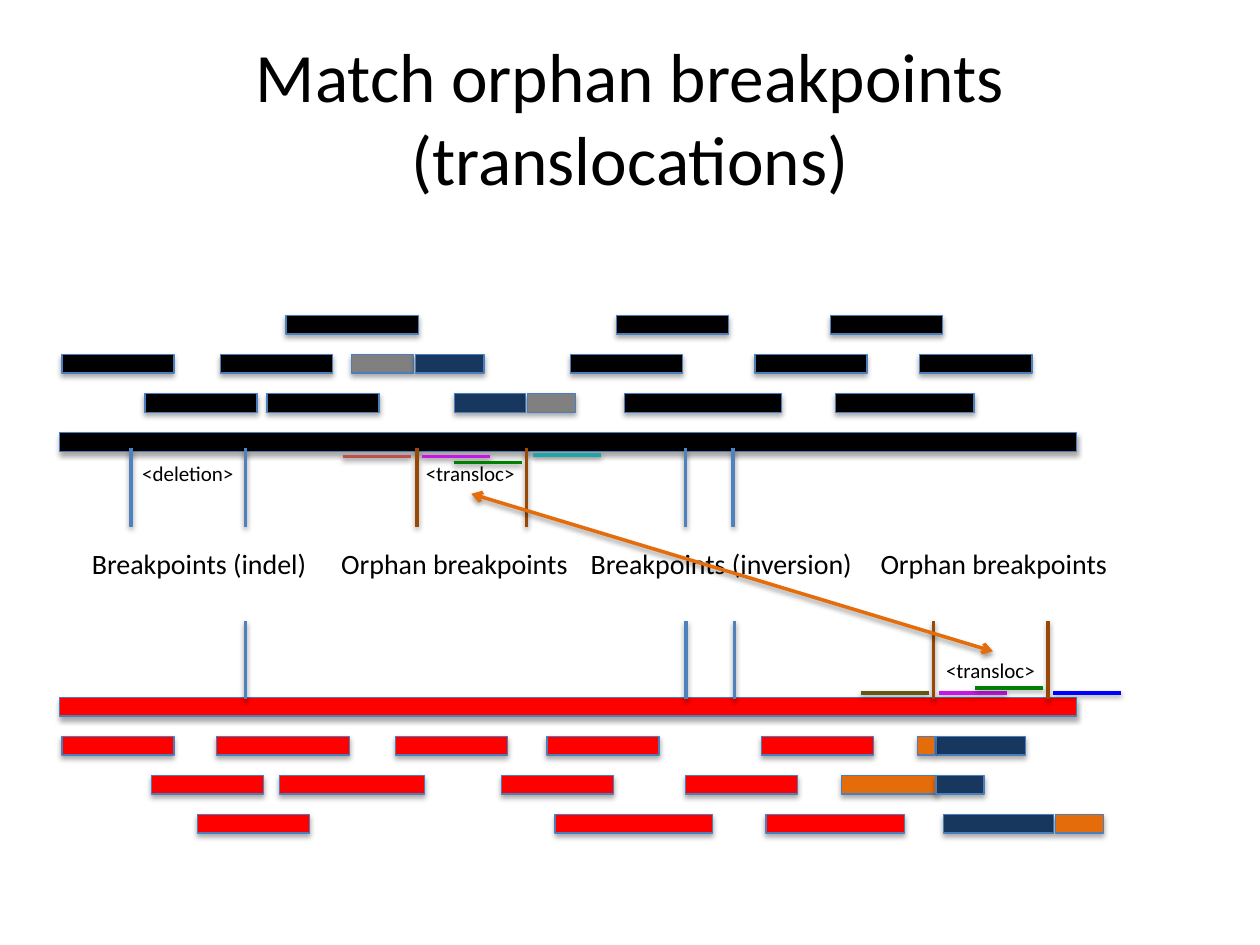
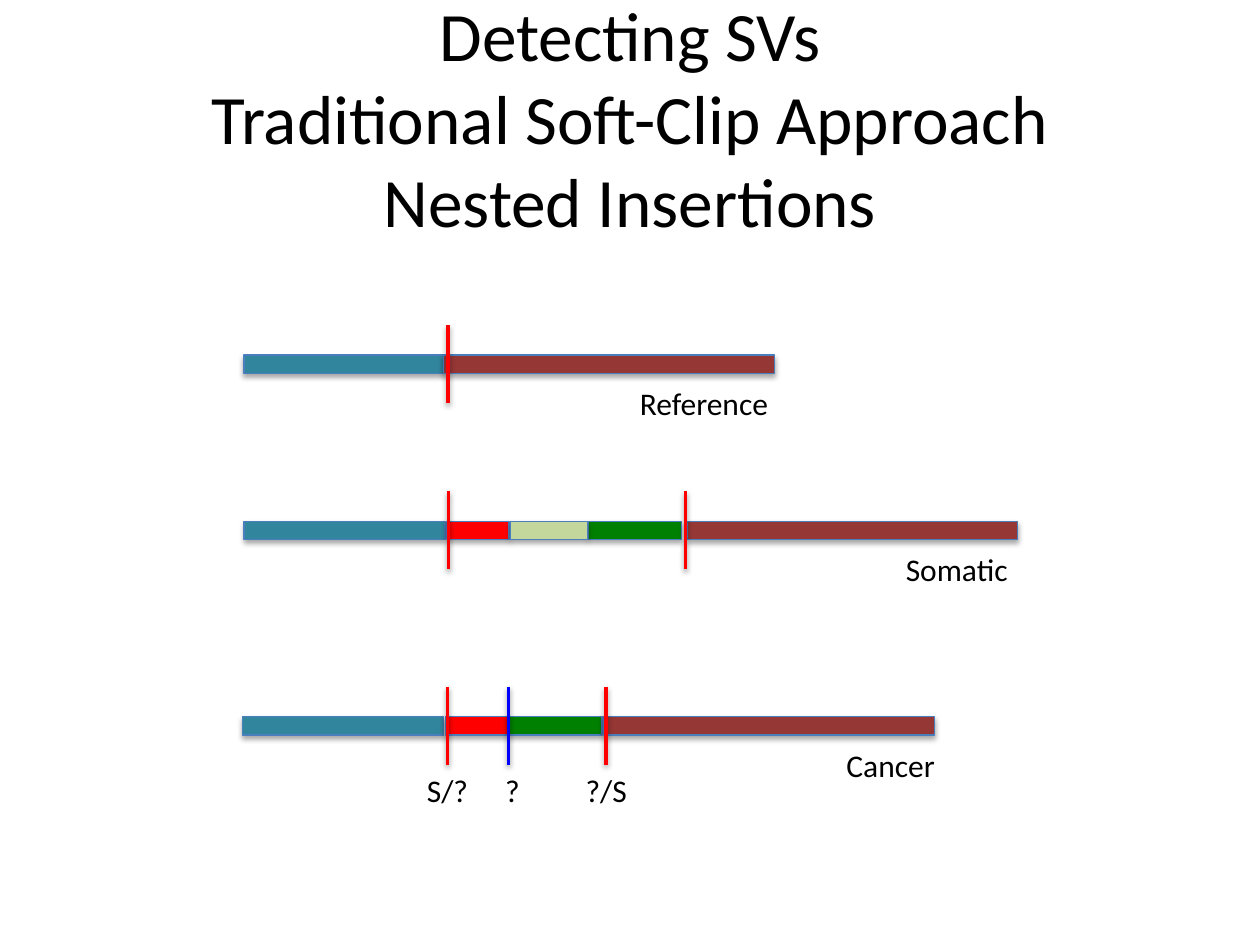
import pptx
import pptx.dml.color
import pptx.enum.shapes
import pptx.enum.text
import pptx.oxml
import pptx.oxml.ns
import pptx.util
from lxml import etree

Pt = pptx.util.Pt
RGBColor = pptx.dml.color.RGBColor
FONT = "Calibri"
BLACK = RGBColor(0x00, 0x00, 0x00)
RED = RGBColor(0xFF, 0x00, 0x00)
GRAY = RGBColor(0x80, 0x80, 0x80)
NAVY = RGBColor(0x17, 0x37, 0x5E)
ORANGE = RGBColor(0xE4, 0x6C, 0x0A)
OUTLINE = RGBColor(0x4B, 0x7E, 0xBC)
STEEL = RGBColor(0x4F, 0x81, 0xBD)
BROWN = RGBColor(0x98, 0x48, 0x07)
PURPLE = RGBColor(0xC8, 0x16, 0xE4)
GREEN = RGBColor(0x00, 0x80, 0x00)
CYAN = RGBColor(0x1D, 0xA5, 0xAB)
ROSE = RGBColor(0xC0, 0x50, 0x4D)
OLIVE = RGBColor(0x65, 0x58, 0x10)
BLUE = RGBColor(0x00, 0x00, 0xFF)
TEAL = RGBColor(0x31, 0x85, 0x9C)
MAROON = RGBColor(0x95, 0x37, 0x35)
LIME = RGBColor(0xC3, 0xD6, 0x9B)

BAR_HEIGHT = 44.6
ROW_PITCH = BAR_HEIGHT / 2
READ = 87.1
MATCH = 38.9

BLACK_TOP = 163.4
BLACK_ROWS = [
    [(149.8, 103, BLACK), (340.6, READ, BLACK), (463, READ, BLACK)],
    [(23.8, READ, BLACK), (114.5, READ, BLACK), (194.4, 48.2, GRAY), (230.4, 53.3, NAVY),
     (314.6, READ, BLACK), (419.8, READ, BLACK), (514.1, READ, BLACK)],
    [(71.3, READ, BLACK), (141.1, READ, BLACK), (252.7, 54.7, NAVY), (296.6, 37.4, GRAY),
     (340.6, 122.4, BLACK), (463, 108, BLACK)],
    [(-70.6, 790.6, BLACK)],
]
RED_TOP = 381.6
RED_ROWS = [
    [(-70.6, 790.6, RED)],
    [(23.8, READ, RED), (110.2, 103, RED), (214.6, READ, RED), (301, READ, RED),
     (423.4, READ, RED), (525.6, 69.8, NAVY), (522.7, 13, ORANGE)],
    [(74.9, READ, RED), (144.7, 113, RED), (275, READ, RED), (380.2, READ, RED),
     (470.9, 74.9, ORANGE), (529.9, 37.4, NAVY)],
    [(101.5, READ, RED), (301, 122.4, RED), (423.4, 108, RED),
     (527.8, 85.7, NAVY), (598.3, 37.4, ORANGE)],
]
BREAKPOINTS = {
    256.3: [(74.9, STEEL), (140.4, STEEL), (238.3, BROWN), (301, BROWN),
            (391.7, STEEL), (419, STEEL)],
    355: [(140.4, STEEL), (392, STEEL), (419.8, STEEL), (533.5, BROWN), (599, BROWN)],
}
MATCHES = [
    (195.8, 261, ROSE), (241.2, 261, PURPLE), (259.2, 264.2, GREEN), (304.6, 259.9, CYAN),
    (491.8, 396, OLIVE), (536.4, 396, PURPLE), (557.3, 393.1, GREEN), (601.9, 396, BLUE),
]
BREAKPOINT_LABELS = [
    ("Breakpoints (indel)", 45.4, 138.2),
    ("Orphan breakpoints", 187.9, 145.4),
    ("Breakpoints (inversion)", 330.5, 165.6),
    ("Orphan breakpoints", 496.1, 145.4),
]
EVENT_LABELS = [
    ("<deletion>", 74.2, 259.9, 67.7),
    ("<transloc>", 236.2, 259.9, 66.2),
    ("<transloc>", 533.5, 372.2, 66.2),
]
GENOMES = [
    (185.8, [(118.8, 155.5, TEAL), (219.6, 257, MAROON)], [(256, RED)]),
    (280.8, [(118.8, 156.2, TEAL), (249.1, 48.2, RED), (326.9, 72, GREEN),
             (358.6, 257, MAROON), (283.7, 59.8, LIME)], [(256.3, RED), (391.7, RED)]),
    (392.4, [(118.1, 156.2, TEAL), (248.4, 48.2, RED), (281.5, 72, GREEN),
             (311, 257, MAROON)], [(255.6, RED), (290.5, BLUE), (346.3, RED)]),
]
GENOME_LABELS = [
    ("Reference", 358.6, 216, 88.6),
    ("Somatic", 510.5, 311, 73.4),
    ("Cancer", 476.6, 422.6, 65.5),
    ("S/?", 236.9, 437, 38.2),
    ("?", 281.5, 437, 23),
    ("?/S", 327.6, 437, 38.2),
]


def add_shadow(shape, distance, opacity):
    """Give a shape a soft black shadow that falls straight down."""
    namespace = pptx.oxml.ns.nsdecls("a")
    effect = pptx.oxml.parse_xml(
        f'<a:effectLst {namespace}><a:outerShdw blurRad="{Pt(3.1)}" dist="{Pt(distance)}" '
        f'dir="5400000" rotWithShape="0"><a:srgbClr val="000000">'
        f'<a:alpha val="{opacity * 1000}"/></a:srgbClr></a:outerShdw></a:effectLst>')
    shape._element.spPr.append(effect)


def style_text(frame, size):
    """Format every run of a text frame."""
    for para in frame.paragraphs:
        for span in para.runs:
            span.font.name = FONT
            span.font.size = Pt(size)
            span.font.color.rgb = BLACK


def add_page(deck, title):
    """Add a title-only slide with its heading."""
    page = deck.slides.add_slide(deck.slide_layouts[5])
    heading = page.shapes.title
    heading.left, heading.top, heading.width, heading.height = Pt(36), Pt(21.6), Pt(648), Pt(90)
    frame = heading.text_frame
    frame.text = title
    frame.auto_size = pptx.enum.text.MSO_AUTO_SIZE.NONE
    frame.vertical_anchor = pptx.enum.text.MSO_ANCHOR.MIDDLE
    frame.paragraphs[0].alignment = pptx.enum.text.PP_ALIGN.CENTER
    style_text(frame, 39.6)
    return page


def add_bars(page, top, bars):
    """Draw one row of sequence bars."""
    for left, width, color in bars:
        bar = page.shapes.add_shape(pptx.enum.shapes.MSO_SHAPE.MATH_MINUS,
                                    Pt(left), Pt(top), Pt(width), Pt(BAR_HEIGHT))
        bar.fill.solid()
        bar.fill.fore_color.rgb = color
        bar.line.color.rgb = OUTLINE
        bar.line.width = Pt(0.75)
        add_shadow(bar, 1.8, 35)


def add_line(page, start, end, color, arrows=False):
    """Draw a straight line, with arrowheads at both ends if asked."""
    line = page.shapes.add_connector(pptx.enum.shapes.MSO_CONNECTOR.STRAIGHT,
                                     Pt(start[0]), Pt(start[1]), Pt(end[0]), Pt(end[1]))
    line.line.color.rgb = color
    line.line.width = Pt(2)
    if arrows:
        outline = line.line._get_or_add_ln()
        for tag in ("a:headEnd", "a:tailEnd"):
            etree.SubElement(outline, pptx.oxml.ns.qn(tag), type="arrow")
    add_shadow(line, 1.6, 38)


def add_ticks(page, top, ticks):
    """Draw vertical breakpoint lines that start at one height."""
    for x, color in ticks:
        add_line(page, (x, top), (x, top + BAR_HEIGHT), color)


def add_label(page, text, left, top, width, height, size):
    """Add a one-line label."""
    box = page.shapes.add_textbox(Pt(left), Pt(top), Pt(width), Pt(height))
    box.text_frame.text = text
    box.text_frame.word_wrap = False
    style_text(box.text_frame, size)


def build_translocations(deck):
    """Build the slide on matching orphan breakpoints."""
    page = add_page(deck, "Match orphan breakpoints (translocations)")
    for first_top, rows in ((BLACK_TOP, BLACK_ROWS), (RED_TOP, RED_ROWS)):
        for index, bars in enumerate(rows):
            add_bars(page, first_top + index * ROW_PITCH, bars)
    for top, ticks in BREAKPOINTS.items():
        add_ticks(page, top, ticks)
    for text, left, width in BREAKPOINT_LABELS:
        add_label(page, text, left, 308.9, width, 26.6, 16)
    add_line(page, (269.3, 282.2), (567.4, 372.2), ORANGE, arrows=True)
    for text, left, top, width in EVENT_LABELS:
        add_label(page, text, left, top, width, 21.6, 12)
    for left, y, color in MATCHES:
        add_line(page, (left, y), (left + MATCH, y), color)


def build_nested_insertions(deck):
    """Build the slide on nested insertions."""
    page = add_page(deck, "Detecting SVs\vTraditional Soft-Clip Approach\vNested Insertions")
    for top, bars, ticks in GENOMES:
        add_bars(page, top, bars)
        add_ticks(page, top, ticks)
    for text, left, top, width in GENOME_LABELS:
        add_label(page, text, left, top, width, 28.8, 18)


def main():
    """Build and save the deck."""
    deck = pptx.Presentation()
    deck.slide_width, deck.slide_height = Pt(720), Pt(540)
    build_translocations(deck)
    build_nested_insertions(deck)
    deck.save("out.pptx")


main()
